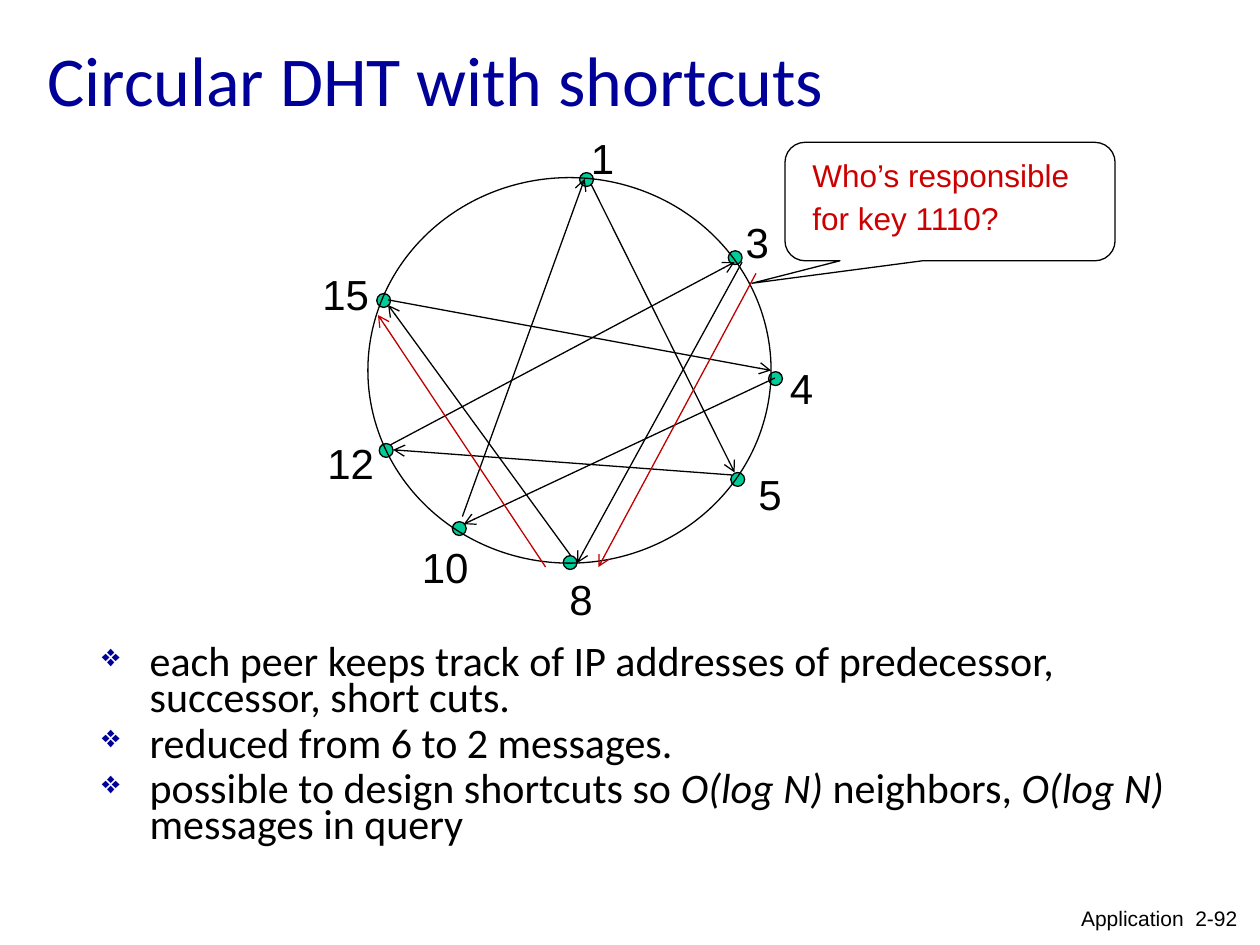
import lxml.etree
import pptx
import pptx.dml.color
import pptx.enum.shapes
import pptx.enum.text
import pptx.oxml.ns
import pptx.util

Inches = pptx.util.Inches
Pt = pptx.util.Pt
SHAPES = pptx.enum.shapes.MSO_SHAPE
ALIGN = pptx.enum.text.PP_ALIGN
ANCHOR = pptx.enum.text.MSO_ANCHOR

BLACK, NAVY, GREEN = "000000", "000099", "00CC99"
ROUTE_RED, QUESTION_RED = "C00000", "CC0000"
DOT_SIZE = 0.11

# Positions are offsets in inches from the top left of the ring.
# peer: (dot, label)
PEERS = {
    "1": ((1.68, -0.04), (1.67, -0.41)),
    "3": ((2.86, 0.58), (2.9, 0.26)),
    "4": ((3.18, 1.54), (3.25, 1.42)),
    "5": ((2.88, 2.34), (3, 2.26)),
    "8": ((1.55, 3), (1.5, 3.09)),
    "10": ((0.67, 2.73), (0.33, 2.84)),
    "12": ((0.09, 2.11), (-0.42, 2.01)),
    "15": ((0.07, 0.92), (-0.46, 0.67)),
}
SHORTCUTS = [
    ((3.23, 1.59), (0.76, 2.75)),
    ((2.89, 2.36), (0.2, 2.16)),
    ((1.61, 3), (0.16, 1.01)),
    ((0.75, 2.69), (1.72, 0.01)),
    ((0.18, 2.12), (2.91, 0.67)),
    ((0.16, 0.97), (3.2, 1.53)),
    ((1.77, 0.05), (2.91, 2.34)),
    ((2.97, 0.67), (1.66, 3.06)),
]
QUERY_ROUTE = [
    ((3.08, 0.76), (1.83, 3.09)),
    ((1.41, 3.09), (0.08, 1.09)),
]
BULLETS = [
    [("each peer keeps track of IP addresses of predecessor, successor, short cuts.", False)],
    [("reduced from 6 to 2 messages.", False)],
    [("possible to design shortcuts so ", False), ("O(log N) ", True),
     ("neighbors, ", False), ("O(log N) ", True), ("messages in query", False)],
]


def color(value):
    return pptx.dml.color.RGBColor.from_string(value)


def set_values(target, values):
    for name, value in values.items():
        setattr(target, name, value)


def add_text(page, box, lines, font, tint=BLACK, paragraph=None, wrap=True,
             anchor=ANCHOR.TOP, space_before=0):
    """Each line is a list of (text, italic) spans."""
    frame = page.shapes.add_textbox(*map(Inches, box)).text_frame
    set_values(frame, {"word_wrap": wrap, "vertical_anchor": anchor})
    for index, spans in enumerate(lines):
        para = frame.add_paragraph() if index else frame.paragraphs[0]
        set_values(para, paragraph or {})
        para.space_before = Pt(space_before if index else 0)
        for text, italic in spans:
            span = para.add_run()
            span.text = text
            set_values(span.font, {**font, "italic": italic})
            span.font.color.rgb = color(tint)
    return frame


def add_outlined(page, kind, box, fill=None):
    shape = page.shapes.add_shape(kind, *map(Inches, box))
    shape.shadow.inherit = False
    if fill:
        shape.fill.solid()
        shape.fill.fore_color.rgb = color(fill)
    else:
        shape.fill.background()
    shape.line.color.rgb = color(BLACK)
    shape.line.width = Pt(0.75)
    return shape


def add_arrow(page, start, end, tint):
    arrow = page.shapes.add_connector(
        pptx.enum.shapes.MSO_CONNECTOR.STRAIGHT, *map(Inches, (*start, *end)))
    arrow.line.color.rgb = color(tint)
    arrow.line.width = Pt(0.75)
    qn = pptx.oxml.ns.qn
    lxml.etree.SubElement(arrow.line._get_or_add_ln(), qn("a:tailEnd"), type="arrow")
    lxml.etree.SubElement(arrow._element.spPr, qn("a:effectLst"))


def add_bullet(para):
    qn = pptx.oxml.ns.qn
    properties = para._p.get_or_add_pPr()
    properties.set("marL", str(Inches(0.38)))
    properties.set("indent", str(-Inches(0.38)))
    tint = lxml.etree.SubElement(properties, qn("a:buClr"))
    lxml.etree.SubElement(tint, qn("a:srgbClr"), val=NAVY)
    lxml.etree.SubElement(properties, qn("a:buSzPct"), val="75000")
    lxml.etree.SubElement(properties, qn("a:buChar"), char="❖")


def add_title(page, box):
    add_text(page, box, [[("Circular DHT with shortcuts", False)]],
             {"name": "Calibri", "size": Pt(40)}, NAVY, anchor=ANCHOR.MIDDLE)


def add_ring(page, box):
    left, top = box[:2]

    def place(offset):
        return left + offset[0], top + offset[1]

    for dot, _ in PEERS.values():
        add_outlined(page, SHAPES.OVAL, (*place(dot), DOT_SIZE, DOT_SIZE), GREEN)
    add_outlined(page, SHAPES.OVAL, box)
    for peer, (_, label) in PEERS.items():
        width = 0.19 + 0.19 * len(peer)
        add_text(page, (*place(label), width, 0.5), [[(peer, False)]],
                 {"name": "Arial", "size": Pt(24)}, wrap=False)
    for arrows, tint in ((SHORTCUTS, BLACK), (QUERY_ROUTE, ROUTE_RED)):
        for start, end in arrows:
            add_arrow(page, place(start), place(end), tint)


def add_question(page, box):
    left, top, width, height = box
    callout = add_outlined(page, SHAPES.ROUNDED_RECTANGULAR_CALLOUT, box)
    for index, value in enumerate((-0.6, 0.69, 0.17)):
        callout.adjustments[index] = value
    add_text(page, (left + 0.12, top + 0.08, width - 0.02, height - 0.22),
             [[("Who’s responsible", False)], [("for key 1110?", False)]],
             {"name": "Arial", "size": Pt(18)}, QUESTION_RED,
             {"line_spacing": Pt(20)}, space_before=4.5)


def add_notes_list(page, box):
    frame = add_text(page, box, BULLETS, {"name": "Calibri", "size": Pt(24)},
                     paragraph={"line_spacing": 0.7}, space_before=6)
    for para in frame.paragraphs:
        add_bullet(para)


def add_footer(page, box):
    add_text(page, box, [[("Application  2-92", False)]],
             {"name": "Arial", "size": Pt(12)}, paragraph={"alignment": ALIGN.RIGHT})


def main():
    deck = pptx.Presentation()
    set_values(deck, {"slide_width": Inches(10), "slide_height": Inches(7.5)})
    page = deck.slides.add_slide(deck.slide_layouts[6])
    add_title(page, (0.28, 0, 9, 1.25))
    add_notes_list(page, (0.71, 5.1, 9, 1.83))
    add_ring(page, (2.92, 1.41, 3.2, 3.06))
    add_question(page, (6.23, 1.13, 2.62, 0.94))
    add_footer(page, (8.33, 7.14, 1.59, 0.31))
    deck.save("out.pptx")


if __name__ == "__main__":
    main()
